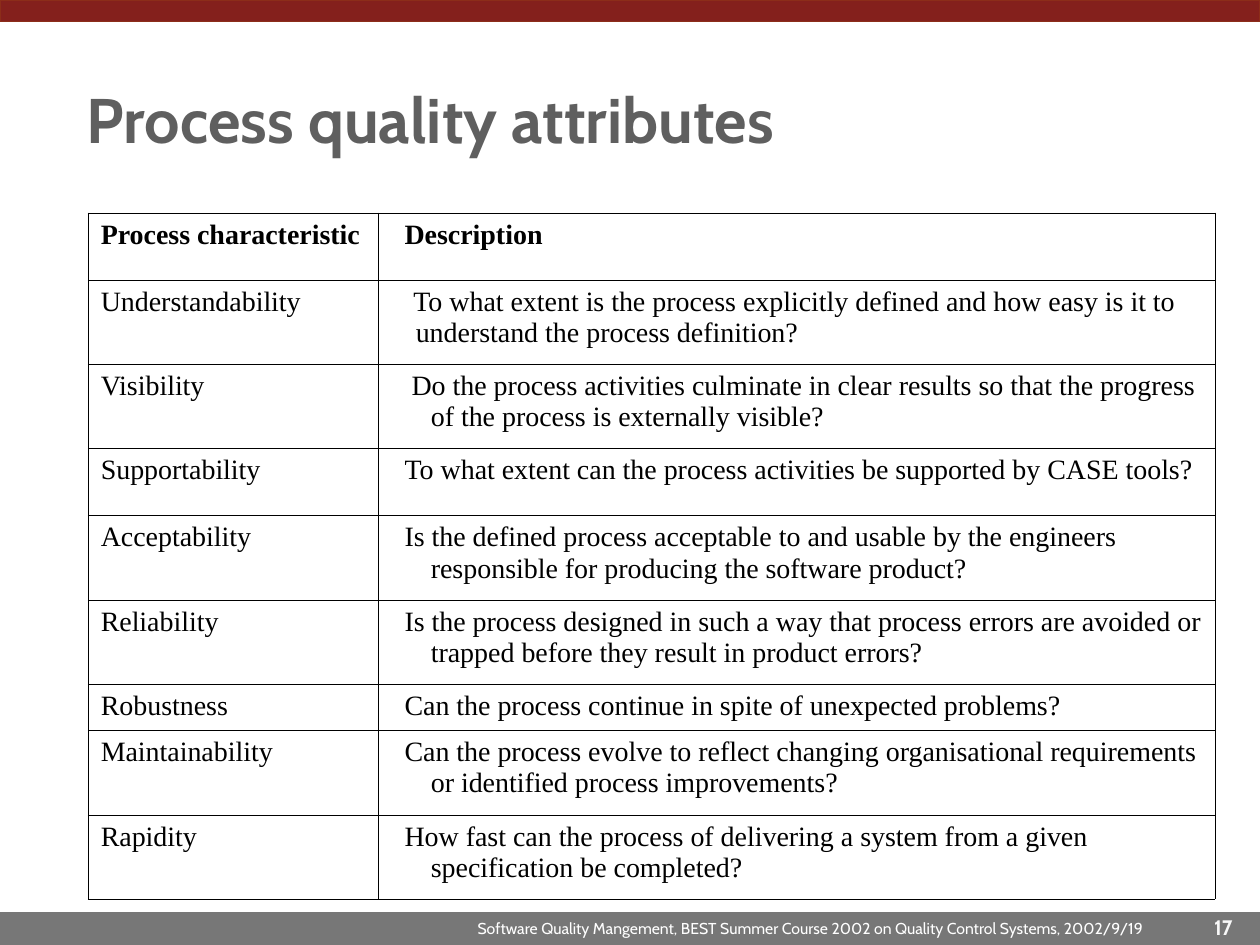
from pptx import Presentation
from pptx import util as u
from pptx.dml.color import RGBColor
from pptx.enum import shapes, text
from pptx.oxml import parse_xml
from pptx.oxml.ns import nsdecls

Pt = u.Pt
SERIF, SANS = "Times New Roman", "Cabin"
HANG = 23  # hanging indent of the table text

# name, description, left margin and first-line indent of the description
ROWS = [
    ("Process characteristic", "Description", HANG, -15),
    ("Understandability", "To what extent is the process explicitly defined and how easy "
     "is it to understand the process definition?", 14.4, -1.4),
    ("Visibility", "Do the process activities culminate in clear results so that the "
     "progress of the process is externally visible?", HANG, -11),
    ("Supportability", "To what extent can the process activities be supported by "
     "CASE tools?", HANG, -15),
    ("Acceptability", "Is the defined process acceptable to and usable by the engineers "
     "responsible for producing the software product?", HANG, -15),
    ("Reliability", "Is the process designed in such a way that process errors are "
     "avoided or trapped before they result in product errors?", HANG, -15),
    ("Robustness", "Can the process continue in spite of unexpected problems?", HANG, -15),
    ("Maintainability", "Can the process evolve to reflect changing organisational "
     "requirements or identified process improvements?", HANG, -15),
    ("Rapidity", "How fast can the process of delivering a system from a given "
     "specification be completed?", HANG, -15),
]
ONE, SHORT, TALL = 25, 38.3, 48.2
HEIGHTS = [SHORT, TALL, TALL, SHORT, TALL, TALL, ONE, TALL, TALL]
WIDTHS = [165.6, 478.4]


def color(code):
    return RGBColor.from_string(code)


def write(frame, words, font=SANS, size=16, hue="000000", bold=False,
          align=text.PP_ALIGN.LEFT, lines=None, left=0, first=0):
    para = frame.paragraphs[0]
    para.alignment = align
    if lines:
        para.line_spacing = lines
    if left:
        props = para._p.get_or_add_pPr()
        props.set("marL", str(Pt(left)))
        props.set("indent", str(Pt(first)))
    run = para.add_run()
    run.text = words
    run.font.name, run.font.size, run.font.bold = font, Pt(size), bold
    run.font.color.rgb = color(hue)


def bar(slide, top, height, fill, line=None):
    box = slide.shapes.add_shape(shapes.MSO_SHAPE.RECTANGLE, 0, Pt(top), Pt(720), Pt(height))
    box.shadow.inherit = False
    box.fill.solid()
    box.fill.fore_color.rgb = color(fill)
    if line:
        box.line.color.rgb = color(line)
        box.line.width = Pt(0.75)
    else:
        box.line.fill.background()


def label(slide, words, left, top, width, height, **style):
    frame = slide.shapes.add_textbox(Pt(left), Pt(top), Pt(width), Pt(height)).text_frame
    frame.margin_left = frame.margin_right = frame.margin_top = frame.margin_bottom = 0
    frame.word_wrap = True
    frame.vertical_anchor = text.MSO_ANCHOR.MIDDLE
    write(frame, words, **style)


def border(cell, width=0.34):
    props = cell._tc.get_or_add_tcPr()
    for side in ("lnL", "lnR", "lnT", "lnB"):
        props.append(parse_xml(
            f'<a:{side} {nsdecls("a")} w="{Pt(width)}"><a:solidFill>'
            f'<a:srgbClr val="000000"/></a:solidFill></a:{side}>'))


def grid(slide, left, top):
    table = slide.shapes.add_table(len(ROWS), 2, Pt(left), Pt(top),
                                   Pt(sum(WIDTHS)), Pt(sum(HEIGHTS))).table
    table.horz_banding = table.first_row = False
    for col, width in zip(table.columns, WIDTHS):
        col.width = Pt(width)
    for num, (name, about, inset, first) in enumerate(ROWS):
        table.rows[num].height = Pt(HEIGHTS[num])
        parts = [(name, HANG, -HANG), (about, inset, first)]
        for cell, (words, start, shift) in zip(table.rows[num].cells, parts):
            border(cell)
            cell.fill.background()
            write(cell.text_frame, words, font=SERIF, bold=num == 0,
                  left=start, first=shift)


def main():
    deck = Presentation()
    deck.slide_width, deck.slide_height = Pt(720), Pt(540)
    slide = deck.slides.add_slide(deck.slide_layouts[6])

    # Bars and footer
    bar(slide, 521.3, 18.7, "777777")
    bar(slide, 0, 12.2, "84201C", line="8C2D19")
    label(slide, "17", 678.2, 523.4, 41.8, 14.4, size=12, hue="F8F8F8", bold=True,
          align=text.PP_ALIGN.CENTER, lines=0.9)
    label(slide, "Software Quality Mangement, BEST Summer Course 2002 on Quality "
          "Control Systems, 2002/9/19", 272.9, 521.3, 398.9, 19.4, size=9,
          hue="FFFFFF", lines=0.9)

    # Title and table
    label(slide, "Process quality attributes", 49.7, 43.2, 645, 54, size=36,
          hue="5F5F5F", bold=True, lines=0.89)
    grid(slide, 50.4, 121.7)
    deck.save("out.pptx")


if __name__ == "__main__":
    main()
